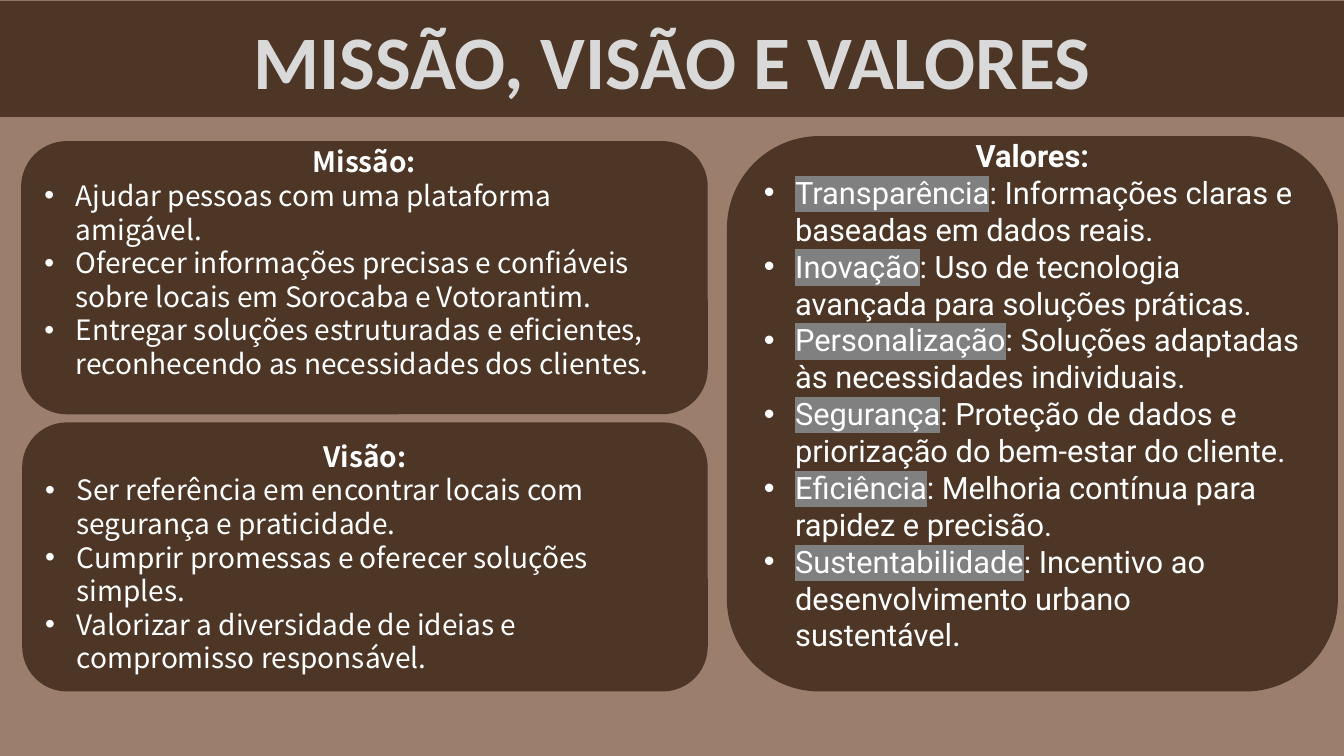
from lxml import etree
from pptx import Presentation
from pptx.dml.color import RGBColor
from pptx.enum.shapes import MSO_SHAPE
from pptx.enum.text import MSO_ANCHOR, PP_ALIGN
from pptx.oxml.ns import qn
from pptx.util import Inches, Pt

RECT, ROUND = MSO_SHAPE.RECTANGLE, MSO_SHAPE.ROUNDED_RECTANGLE
MIDDLE = MSO_ANCHOR.MIDDLE
LEFT, CENTER = PP_ALIGN.LEFT, PP_ALIGN.CENTER

MISSION = [
    "Ajudar pessoas com uma plataforma amigável.",
    "Oferecer informações precisas e confiáveis sobre locais em Sorocaba e Votorantim.",
    "Entregar soluções estruturadas e eficientes, reconhecendo as necessidades dos clientes.",
]
VISION = [
    "Ser referência em encontrar locais com segurança e praticidade.",
    "Cumprir promessas e oferecer soluções simples.",
    "Valorizar a diversidade de ideias e compromisso responsável.",
]
VALUES = [
    ("Transparência", ": Informações claras e baseadas em dados reais."),
    ("Inovação", ": Uso de tecnologia avançada para soluções práticas."),
    ("Personalização", ": Soluções adaptadas às necessidades individuais."),
    ("Segurança", ": Proteção de dados e priorização do bem-estar do cliente."),
    ("Eficiência", ": Melhoria contínua para rapidez e precisão."),
    ("Sustentabilidade", ": Incentivo ao desenvolvimento urbano sustentável", "."),
]


def color(code):
    return RGBColor.from_string(code)


def write(par, text, font="Noto Sans CJK KR", size=20, ink="FFFFFF", bold=False, mark=None):
    run = par.add_run()
    run.text = text
    run.font.name, run.font.size, run.font.bold = font, Pt(size), bold
    run.font.color.rgb = color(ink)
    if mark:
        light = etree.Element(qn("a:highlight"))
        etree.SubElement(light, qn("a:srgbClr"), val=mark)
        run.font._element.find(qn("a:solidFill")).addnext(light)


class Deck:
    dark, back, gray, mark = "4D3626", "9B7F6C", "D9D9D9", "808080"

    def __init__(self):
        self.prs = Presentation()
        self.prs.slide_width, self.prs.slide_height = Inches(13.33), Inches(7.5)
        self.slide = self.prs.slides.add_slide(self.prs.slide_layouts[6])
        fill = self.slide.background.fill
        fill.solid()
        fill.fore_color.rgb = color(self.back)

    def box(self, kind, *area):
        """Add a dark block and return its text frame."""
        shape = self.slide.shapes.add_shape(kind, *map(Inches, area))
        shape.shadow.inherit = False
        shape.fill.solid()
        shape.fill.fore_color.rgb = color(self.dark)
        shape.line.fill.background()
        frame = shape.text_frame
        frame.word_wrap = True
        frame.vertical_anchor = MIDDLE
        return frame

    def title(self, text, *area):
        par = self.box(RECT, *area).paragraphs[0]
        par.alignment = CENTER
        write(par, text, font="Calibri", size=54, ink=self.gray, bold=True)

    def bullet(self, frame, pitch):
        par = frame.add_paragraph()
        par.alignment, par.line_spacing = LEFT, Pt(pitch)
        props = par._p.get_or_add_pPr()
        props.set("marL", str(Inches(0.31)))
        props.set("indent", str(-Inches(0.31)))
        etree.SubElement(props, qn("a:buFont"), typeface="Arial")
        etree.SubElement(props, qn("a:buChar"), char="•")
        return par

    def card(self, head, items, *area, pitch=24, foot=0.05, **form):
        """Add a rounded card with a heading and bullets."""
        frame = self.box(ROUND, *area)
        frame.margin_bottom = Inches(foot)
        top = frame.paragraphs[0]
        top.alignment, top.line_spacing = CENTER, Pt(pitch)
        write(top, head, bold=True, **form)
        for item in items:
            par = self.bullet(frame, pitch)
            if isinstance(item, str):
                write(par, item, **form)
                continue
            term, body, *rest = item
            write(par, term, mark=self.mark, **form)
            write(par, body, **form)
            for end in rest:
                write(par, end, **{**form, "size": 24})


def main():
    deck = Deck()
    # Title band
    deck.title("MISSÃO, VISÃO E VALORES", 0, 0.01, 13.33, 1.15)
    # Left column
    deck.card("Missão:", MISSION, 0.21, 1.4, 6.81, 2.71, foot=0.35)
    deck.card("Visão:", VISION, 0.22, 4.19, 6.8, 2.67)
    # Right column
    deck.card("Valores:", VALUES, 7.21, 1.35, 6.06, 5.51,
              pitch=26.4, foot=0.42, font="Roboto", size=22)
    deck.prs.save("out.pptx")


if __name__ == "__main__":
    main()
